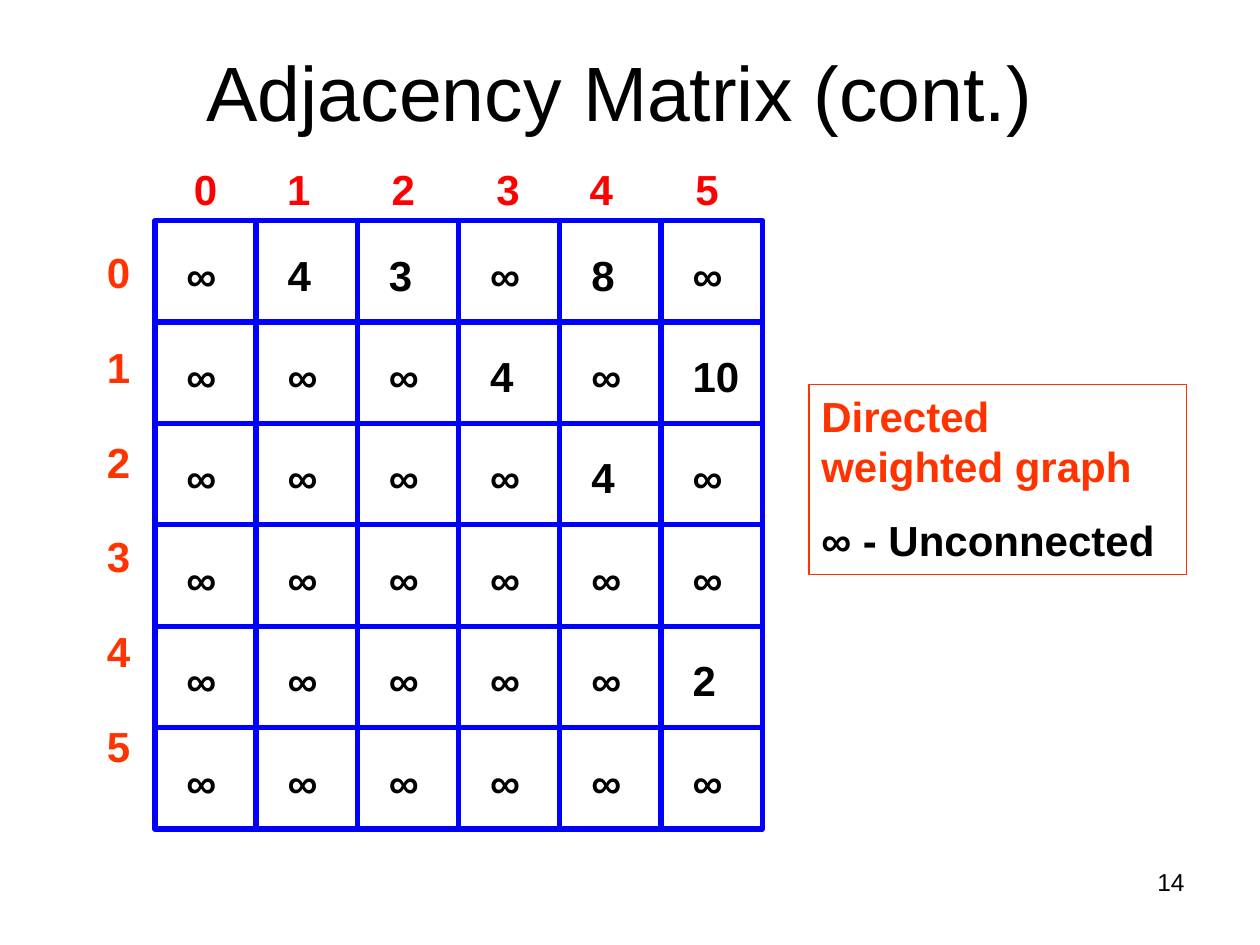
import pptx
import pptx.util
import pptx.dml.color
import pptx.enum.shapes
import pptx.enum.text
import lxml.etree

Inches, Pt = pptx.util.Inches, pptx.util.Pt
RGBColor = pptx.dml.color.RGBColor
ALIGN = pptx.enum.text.PP_ALIGN
ANCHOR = pptx.enum.text.MSO_ANCHOR
RECT = pptx.enum.shapes.MSO_SHAPE.RECTANGLE

BLACK = RGBColor(0, 0, 0)
WHITE = RGBColor(255, 255, 255)
BLUE = RGBColor(0, 0, 255)
RED = RGBColor(255, 0, 0)
ORANGE = RGBColor(255, 0x33, 0)

ROWS = [
    "∞ 4 3 ∞ 8 ∞",
    "∞ ∞ ∞ 4 ∞ 10",
    "∞ ∞ ∞ ∞ 4 ∞",
    "∞ ∞ ∞ ∞ ∞ ∞",
    "∞ ∞ ∞ ∞ ∞ 2",
    "∞ ∞ ∞ ∞ ∞ ∞",
]
LABELS = [str(n) for n in range(len(ROWS))]
STOPS = [0.74, 1.57, 2.4, 3.14, 3.98]


def style(para, color, size=24, bold=True, align=ALIGN.LEFT):
    para.alignment = align
    font = para.font
    font.name, font.size, font.bold = "Arial", Pt(size), bold
    font.color.rgb = color


def add_text(slide, box, text):
    frame = slide.shapes.add_textbox(*map(Inches, box)).text_frame
    frame.word_wrap = True
    frame.text = text
    return frame


def add_rect(slide, box, color, width):
    shape = slide.shapes.add_shape(RECT, *map(Inches, box))
    shape.shadow.inherit = False
    shape.line.color.rgb = color
    shape.line.width = Pt(width)
    shape.text_frame.word_wrap = True
    return shape


def add_title(slide, box, text):
    title = slide.shapes.title
    title.left, title.top, title.width, title.height = map(Inches, box)
    title.text_frame.text = text
    title.text_frame.vertical_anchor = ANCHOR.MIDDLE
    style(title.text_frame.paragraphs[0], BLACK, 44, False, ALIGN.CENTER)


def add_cell(slide, box, value):
    cell = add_rect(slide, box, BLUE, 3)
    cell.fill.solid()
    cell.fill.fore_color.rgb = WHITE
    frame = cell.text_frame
    frame.margin_left, frame.margin_right = Inches(0.25), 0
    frame.margin_top, frame.margin_bottom = Inches(0.05), 0
    frame.vertical_anchor = ANCHOR.MIDDLE
    frame.text = value
    style(frame.paragraphs[0], BLACK)


def add_heads(slide, box):
    """Column numbers, set on tab stops."""
    para = add_text(slide, box, "\t".join(LABELS)).paragraphs[0]
    props = para._p.get_or_add_pPr()
    tabs = lxml.etree.SubElement(props, pptx.oxml.ns.qn("a:tabLst"))
    for stop in STOPS:
        tab = lxml.etree.SubElement(tabs, pptx.oxml.ns.qn("a:tab"))
        tab.set("pos", str(Inches(stop)))
        tab.set("algn", "l")
    style(para, RED)


def add_sides(slide, box):
    """Row numbers, one paragraph each."""
    for para in add_text(slide, box, "\n".join(LABELS)).paragraphs:
        para.space_after = Pt(25.3)
        style(para, ORANGE)


def add_matrix(slide, box):
    left, top, width, height = box
    wide, high = width / len(LABELS), height / len(ROWS)
    for r, row in enumerate(ROWS):
        for c, value in enumerate(row.split()):
            add_cell(slide, (left + c * wide, top + r * high, wide, high), value)
    add_sides(slide, (left - 0.48, top + 0.16, 0.45, 4.49))
    add_heads(slide, (left + 0.21, top - 0.5, width, 0.5))


def add_legend(slide, box):
    shape = add_rect(slide, box, ORANGE, 0.75)
    shape.fill.background()
    frame = shape.text_frame
    frame.vertical_anchor = ANCHOR.TOP
    frame.text = "Directed weighted graph\n∞ - Unconnected"
    kind, note = frame.paragraphs
    style(kind, ORANGE)
    style(note, BLACK)
    note.space_before = Pt(13)


def add_number(slide, box, text):
    frame = add_text(slide, box, text)
    style(frame.paragraphs[0], BLACK, 14, False, ALIGN.RIGHT)


def main():
    deck = pptx.Presentation()
    deck.slide_width, deck.slide_height = Inches(10), Inches(7.5)
    slide = deck.slides.add_slide(deck.slide_layouts[5])
    add_title(slide, (0.42, 0.22, 9, 1), "Adjacency Matrix (cont.)")
    add_matrix(slide, (1.23, 1.75, 4.82, 4.83))
    add_legend(slide, (6.42, 3.05, 3, 1.51))
    add_number(slide, (7.17, 6.83, 2.33, 0.52), "14")
    deck.save("out.pptx")


if __name__ == "__main__":
    main()
